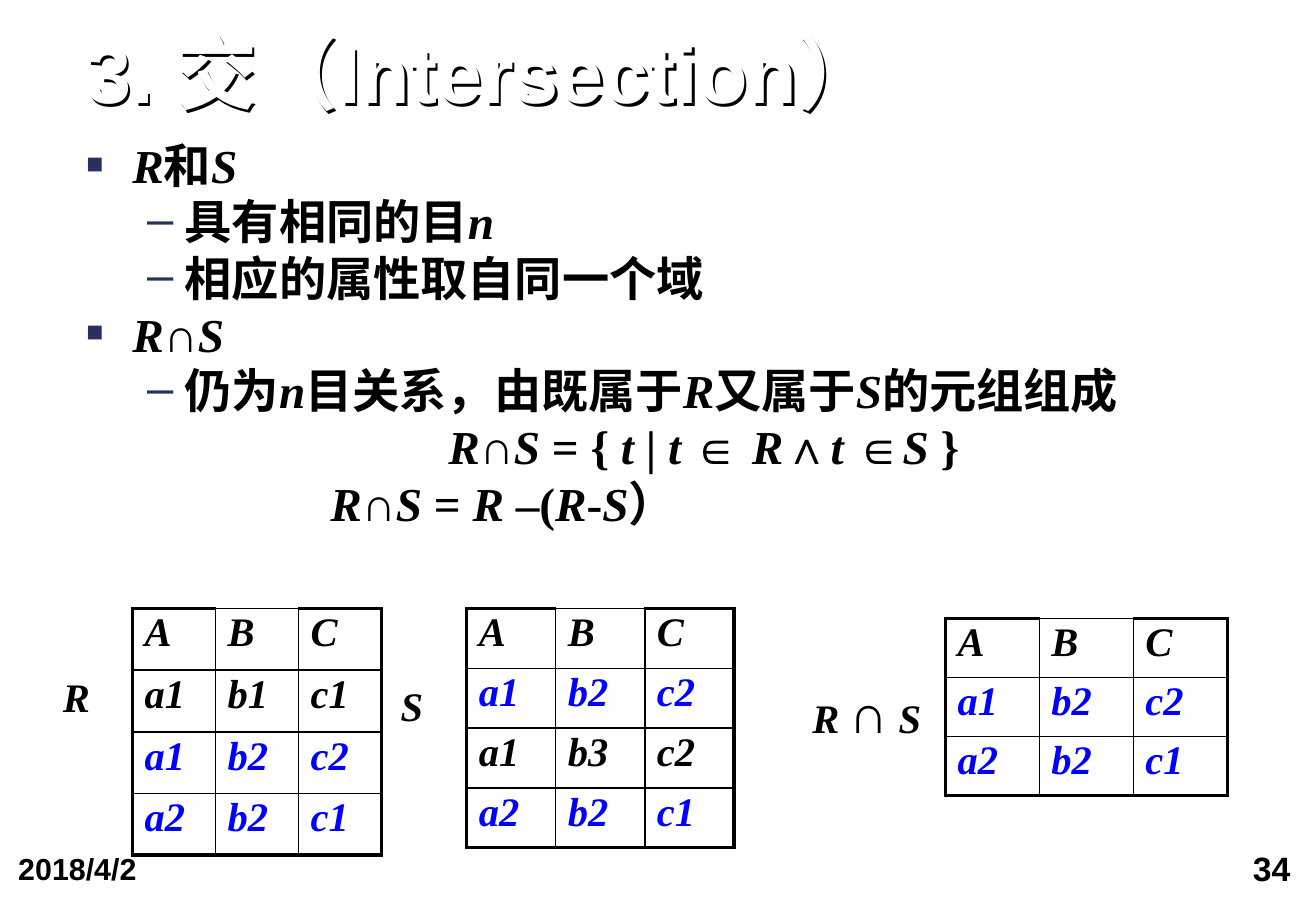
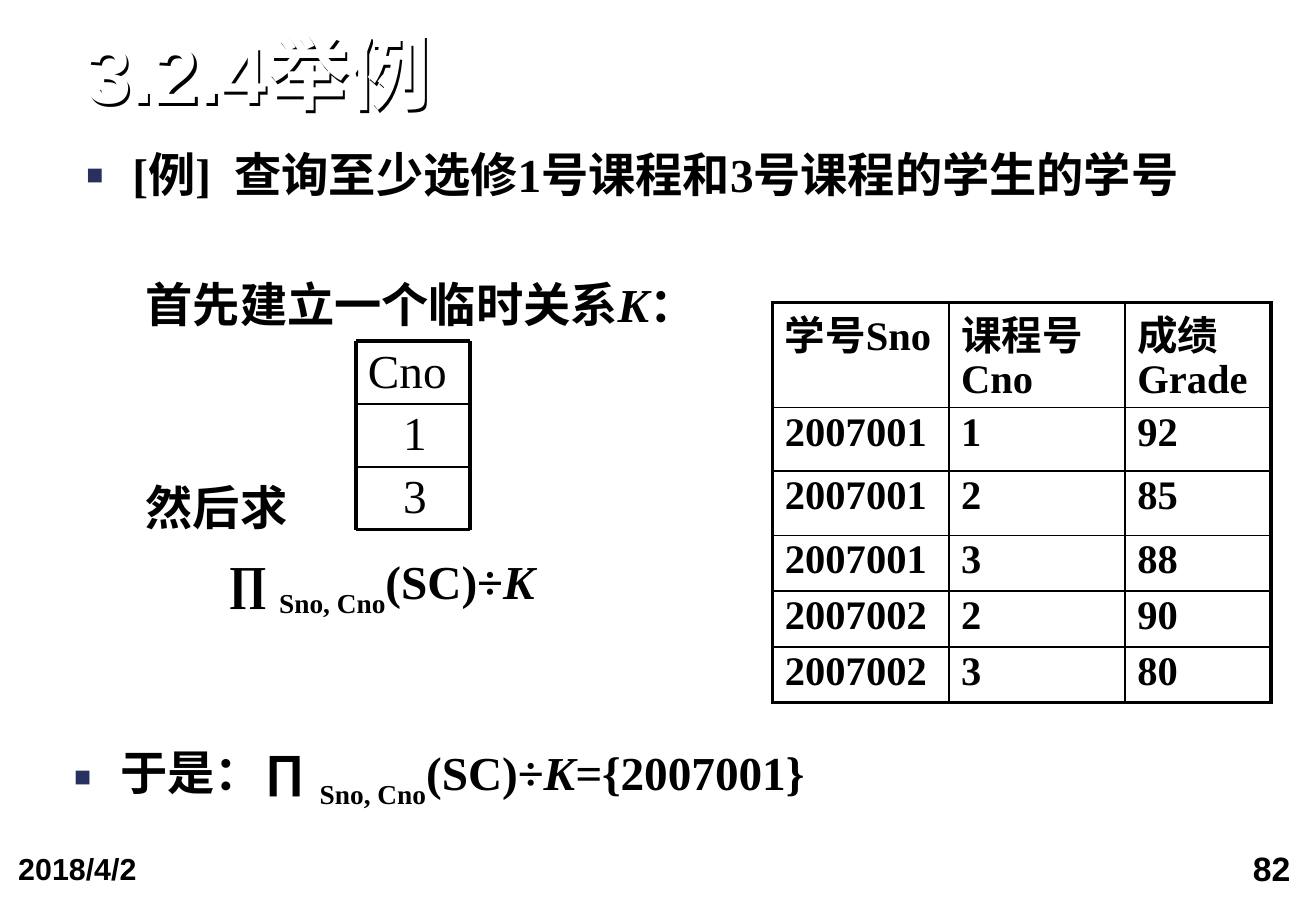
"""Build two relational-algebra lecture slides."""
from lxml import etree
from pptx import Presentation
from pptx.dml.color import RGBColor
from pptx.enum.shapes import MSO_CONNECTOR
from pptx.enum.text import MSO_ANCHOR, MSO_AUTO_SIZE, PP_ALIGN
from pptx.oxml.ns import qn
from pptx.util import Inches, Pt

LEFT, CENTER, RIGHT, JUSTIFY = PP_ALIGN.LEFT, PP_ALIGN.CENTER, PP_ALIGN.RIGHT, PP_ALIGN.JUSTIFY
TOP, MIDDLE, BOTTOM = MSO_ANCHOR.TOP, MSO_ANCHOR.MIDDLE, MSO_ANCHOR.BOTTOM
NO_FIT = MSO_AUTO_SIZE.NONE
STRAIGHT = MSO_CONNECTOR.STRAIGHT

BLACK = RGBColor(0, 0, 0)
WHITE = RGBColor(0xFF, 0xFF, 0xFF)
BLUE = RGBColor(0, 0, 0xFF)
NAVY = RGBColor(0x27, 0x30, 0x5F)
SANS, SERIF = "Arial", "Times New Roman"
THIN, HEAVY = Pt(1), Pt(2.25)
SQUARE, DASH = ("■", 60), ("–", 100)
DATE = "2018/4/2"


def add_xml(parent, tag, **attrs):
    """Append a drawing element and return it."""
    return etree.SubElement(parent, qn(tag), {k: str(v) for k, v in attrs.items()})


def style(font, size, name=SERIF, color=BLACK, bold=True, italic=False):
    """Format one font."""
    font.size, font.name, font.bold, font.italic = Pt(size), name, bold, italic
    font.color.rgb = color


def write(p, text, size, **look):
    """Write text in which *...* is italic and _..._ is subscript."""
    for i, part in enumerate(text.split("*")):
        for j, piece in enumerate(part.split("_")):
            if piece:
                r = p.add_run()
                r.text = piece
                style(r.font, size, **{"italic": i % 2 == 1, **look})
                if j % 2:
                    r.font._element.set("baseline", "-30000")


def space(p, line, before):
    """Set line spacing and the gap above a paragraph."""
    p.line_spacing, p.space_before = line, Pt(before)


def indent(p, margin, first=0, bullet=None):
    """Set the indents and the bullet of a paragraph."""
    pPr = p._p.get_or_add_pPr()
    pPr.set("marL", str(Inches(margin)))
    pPr.set("indent", str(Inches(first)))
    if bullet is None:
        add_xml(pPr, "a:buNone")
        return
    char, percent = bullet
    add_xml(add_xml(pPr, "a:buClr"), "a:srgbClr", val=NAVY)
    add_xml(pPr, "a:buSzPct", val=percent * 1000)
    add_xml(pPr, "a:buFont", typeface=SANS)
    add_xml(pPr, "a:buChar", char=char)


def frame(sp, box, inset=(0, 0), anchor=TOP, wrap=True):
    """Place a shape in its box and prepare its text frame."""
    sp.left, sp.top, sp.width, sp.height = (Inches(v) for v in box)
    tf = sp.text_frame
    tf.auto_size, tf.word_wrap, tf.vertical_anchor = NO_FIT, wrap, anchor
    tf.margin_left = tf.margin_right = Inches(inset[0])
    tf.margin_top = tf.margin_bottom = Inches(inset[1])
    return tf


def add_text(s, box, text, size, align=LEFT, inset=(0.1, 0.05), anchor=TOP, wrap=True, **look):
    """Add a one-paragraph text box."""
    sp = s.shapes.add_textbox(*(Inches(v) for v in box))
    p = frame(sp, box, inset, anchor, wrap).paragraphs[0]
    p.alignment = align
    write(p, text, size, **look)
    return p


def add_list(tf, items):
    """Fill a text frame from (text, level, margin, first, bullet, align, line, before)."""
    for i, (text, level, margin, first, bullet, align, line, before) in enumerate(items):
        p = tf.add_paragraph() if i else tf.paragraphs[0]
        p.level, p.alignment = level, align
        space(p, line, before)
        indent(p, margin, first, bullet)
        write(p, text, 28)


def add_label(s, box, text):
    """Add the name of a relation."""
    return add_text(s, box, text, 24, CENTER, anchor=MIDDLE, wrap=False)


def add_line(s, x1, y1, x2, y2, width):
    """Add a straight black line without a shadow."""
    line = s.shapes.add_connector(STRAIGHT, *(Inches(v) for v in (x1, y1, x2, y2)))
    line.line.color.rgb, line.line.width = BLACK, width
    add_xml(line._element.spPr, "a:effectLst")


def set_borders(cell, widths):
    """Draw the four edges of a cell."""
    tcPr = cell._tc.get_or_add_tcPr()
    for i, (side, width) in enumerate(zip("LRTB", widths)):
        ln = etree.Element(qn("a:ln" + side), {"w": str(width)})
        add_xml(add_xml(ln, "a:solidFill"), "a:srgbClr", val=BLACK)
        tcPr.insert(i, ln)


def add_grid(s, left, top, cols, heights, rows, mid_top=HEAVY, blue=(), **look):
    """Add a ruled table with a heavy outer frame."""
    last_r, last_c = len(rows) - 1, len(cols) - 1
    shape = s.shapes.add_table(len(rows), len(cols), Inches(left), Inches(top),
                               Inches(sum(cols)), Inches(sum(heights)))
    tbl = shape.table
    tbl.first_row = tbl.horz_banding = False
    for col, width in zip(tbl.columns, cols):
        col.width = Inches(width)
    for r, (values, height) in enumerate(zip(rows, heights)):
        tbl.rows[r].height = Inches(height)
        for c, value in enumerate(values):
            cell = tbl.cell(r, c)
            cell.fill.background()
            p = cell.text_frame.paragraphs[0]
            space(p, 0.9, 8.4)
            write(p, value, 24, color=BLUE if r in blue else BLACK, **look)
            head = mid_top if 0 < c < last_c else HEAVY
            set_borders(cell, (HEAVY if c == 0 else THIN, HEAVY if c == last_c else THIN,
                               head if r == 0 else THIN, HEAVY if r == last_r else THIN))


def add_relation(s, box, rows, blue):
    """Add a small relation A, B, C with equal columns and rows."""
    left, top, width, height = box
    rows = ["A B C", *rows]
    add_grid(s, left, top, [width / 3] * 3, [height / len(rows)] * len(rows),
             [row.split() for row in rows], mid_top=THIN, blue=blue, italic=True)


def add_ruled_column(s, box, values):
    """Add a ruled one-column relation whose first value is the heading."""
    left, top, width, height = box
    count = len(values)
    step = height / count
    for i, value in enumerate(values):
        p = add_text(s, (left, top + i * step, width, step), value, 28, bold=False)
        space(p, 0.9, 9.8)
        indent(p, 0.29 if i else 0)
    for i in range(count + 1):
        y = top + i * step
        add_line(s, left, y, left + width, y, THIN if 0 < i < count else HEAVY)
    for x in (left, left + width):
        add_line(s, x, top, x, top + height, HEAVY)


def new_slide(prs, title, number):
    """Add a slide with its shadowed title, date and number."""
    s = prs.slides.add_slide(prs.slide_layouts[1])
    add_text(s, (8.01, 6.92, 2.74, 0.58), number, 20, RIGHT, (0.13, 0.06), name=SANS)
    add_text(s, (0.02, 6.94, 2.51, 0.56), DATE, 18, LEFT, (0.13, 0.06), name=SANS)
    sp = s.shapes.title
    p = frame(sp, (0.71, 0.28, 9.65, 0.72), anchor=BOTTOM).paragraphs[0]
    p.alignment, p.line_spacing = LEFT, 0.9
    write(p, title, 48, name=SANS, color=WHITE)
    sp.fill.background()
    effects = add_xml(sp._element.spPr, "a:effectLst")
    shadow = add_xml(effects, "a:outerShdw", dist=Pt(2), dir=2700000, algn="ctr", rotWithShape=0)
    add_xml(shadow, "a:srgbClr", val=BLACK)
    return s


def intersection_slide(prs):
    """Define the intersection of two relations."""
    s = new_slide(prs, "3. 交（Intersection）", "34")
    main = (0, 0.38, -0.38, SQUARE)
    sub = (1, 0.81, -0.31, DASH)
    lines = [
        ("*R*和*S*", *main, LEFT),
        ("具有相同的目*n*", *sub, LEFT),
        ("相应的属性取自同一个域", *sub, LEFT),
        ("*R*∩*S*", *main, JUSTIFY),
        ("仍为*n*目关系，由既属于*R*又属于*S*的元组组成", *sub, JUSTIFY),
        ("*R*∩*S* = { *t *| *t *∈ *R*∧*t *∈*S *}", 1, 2.98, 0, None, JUSTIFY),
        ("*R*∩*S* = *R* –(*R*-*S*）", 1, 2.01, 0, None, JUSTIFY),
    ]
    tf = frame(s.placeholders[1], (0.71, 1.25, 9.65, 3.26))
    add_list(tf, [(*line, 0.7, 9.8) for line in lines])
    add_relation(s, (1.09, 5.01, 2.05, 2.03), ["a1 b1 c1", "a1 b2 c2", "a2 b2 c1"], (2, 3))
    add_label(s, (0.45, 5.27, 0.36, 0.92), "*R*")
    add_relation(s, (3.84, 5.01, 2.2, 1.97), ["a1 b2 c2", "a1 b3 c2", "a2 b2 c1"], (1, 3))
    add_label(s, (3.21, 5.35, 0.36, 0.92), "*S*")
    add_relation(s, (7.78, 5.09, 2.32, 1.46), ["a1 b2 c2", "a2 b2 c1"], (1, 2))
    p = add_label(s, (6.68, 5.4, 0.99, 0.92), "*R *∩* S *")
    p.runs[1].font.size = Pt(32)


def example_slide(prs):
    """Work through a division query."""
    s = new_slide(prs, "3.2.4\t举例", "82")
    main = (0, 0.38, -0.38, SQUARE)
    tf = frame(s.placeholders[1], (0.71, 1.25, 9.65, 0.9))
    add_list(tf, [("[例]  查询至少选修1号课程和3号课程的学生的学号 ", *main, JUSTIFY, 0.9, 9.8)])
    grades = [("学号Sno", "课程号Cno", "成绩Grade"), ("2007001", "1", "92"), ("2007001", "2", "85"),
              ("2007001", "3", "88"), ("2007002", "2", "90"), ("2007002", "3", "80")]
    add_grid(s, 6.36, 2.49, [1.45, 1.45, 1.2], [0.82, 0.52, 0.53, 0.46, 0.46, 0.46], grades)
    add_ruled_column(s, (2.93, 2.81, 0.94, 1.55), ["Cno", "1", "3"])
    box = (0.61, 2.32, 6.69, 4.29)
    steps = s.shapes.add_textbox(*(Inches(v) for v in box))
    add_list(frame(steps, box), [
        ("首先建立一个临时关系*K*：", 1, 0.59, 0, None, LEFT, 0.9, 9.8),
        ("然后求", 1, 0.59, 0, None, LEFT, 0.9, 90),
        ("∏ _Sno, Cno_(SC)÷*K*", 1, 1.27, 0, None, LEFT, 0.9, 9.8),
        ("于是：∏ _Sno, Cno_(SC)÷*K=*{2007001}", *main, LEFT, 1.7, 50),
    ])


def main():
    """Build and save the deck."""
    prs = Presentation()
    prs.slide_width, prs.slide_height = Inches(10.83), Inches(7.5)
    intersection_slide(prs)
    example_slide(prs)
    prs.save("out.pptx")


if __name__ == "__main__":
    main()
